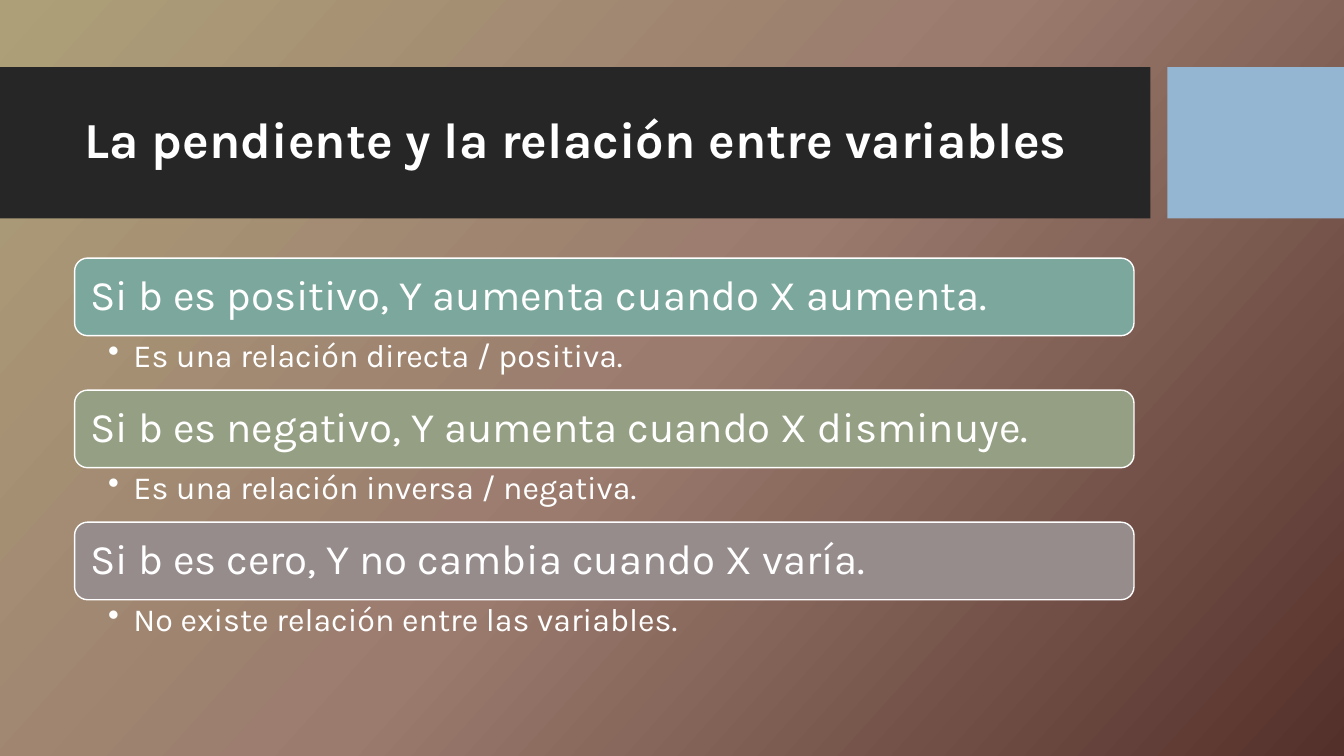
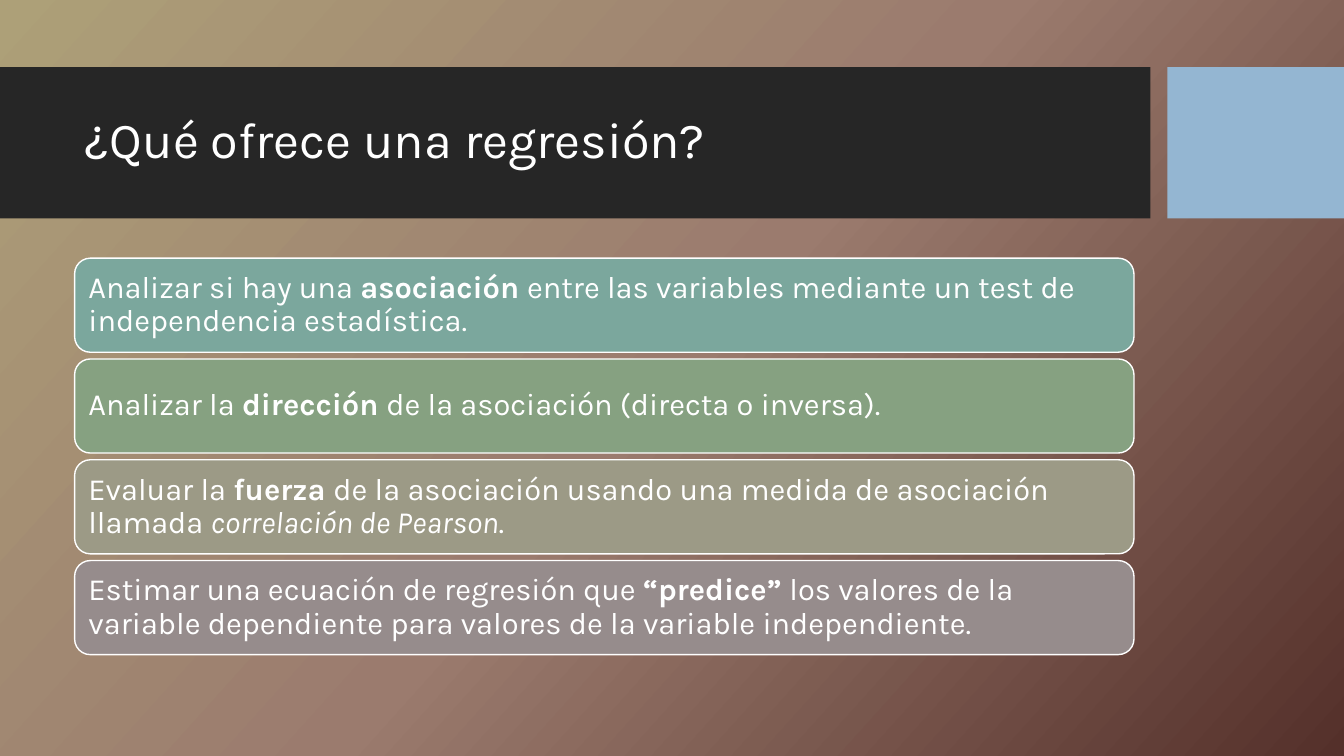
from lxml.etree import SubElement
from pptx import Presentation
from pptx.dml.color import RGBColor
from pptx.enum.shapes import MSO_SHAPE as Shape
from pptx.enum.text import MSO_ANCHOR as Anchor, PP_ALIGN as Align
from pptx.oxml.ns import qn
from pptx.util import Pt

# Content
SLOPE_TITLE = "La pendiente y la relación entre variables"
SLOPE_CASES = [
    ("Si b es positivo, Y aumenta cuando X aumenta.",
     "Es una relación directa / positiva."),
    ("Si b es negativo, Y aumenta cuando X disminuye.",
     "Es una relación inversa / negativa."),
    ("Si b es cero, Y no cambia cuando X varía.",
     "No existe relación entre las variables."),
]
USES_TITLE = "¿Qué ofrece una regresión?"
USES = [
    [("Analizar si hay una ", ""), ("asociación ", "bold"),
     ("entre las variables mediante un test de independencia estadística.", "")],
    [("Analizar la ", ""), ("dirección ", "bold"),
     ("de la asociación (directa o inversa).", "")],
    [("Evaluar la ", ""), ("fuerza ", "bold"),
     ("de la asociación usando una medida de asociación llamada ", ""),
     ("correlación de Pearson", "italic"), (".", "")],
    [("Estimar una ecuación de regresión que ", ""), ("“predice” ", "bold"),
     ("los valores de la variable dependiente para valores de la variable "
      "independiente.", "")],
]

# Shared style
FONT = "Karla"
WHITE = RGBColor(0xFF, 0xFF, 0xFF)
CHARCOAL = RGBColor(0x26, 0x26, 0x26)
SKY = RGBColor(0x94, 0xB6, 0xD2)
TEAL = RGBColor(0x7B, 0xA7, 0x9D)
GREEN = RGBColor(0x86, 0xA1, 0x81)
OLIVE = RGBColor(0x94, 0x9F, 0x83)
SAND = RGBColor(0x9C, 0x9A, 0x86)
MAUVE = RGBColor(0x96, 0x8C, 0x8C)
CASE_COLORS = [TEAL, OLIVE, MAUVE]
USE_COLORS = [TEAL, GREEN, SAND, MAUVE]
BACKGROUND = [(0, "ADA078"), (50, "9B7B6E"), (100, "54302A")]
BACKGROUND_ANGLE = 42

# Layout, in points
SLIDE_W, SLIDE_H = 960, 540
BAND_TOP, BAND_H = 48, 108
BANDS = [(0, 821.8, CHARCOAL), (833.8, 126.2, SKY)]
LEFT, WIDTH = 53.3, 756.7
TITLE_TOP, TITLE_H = 59, 85
LIST_TOP = 184.4
CASE_H, DETAIL_H = 55.4, 38.9
USE_H, USE_GAP = 67.2, 4.8
BULLET_INDENT = 18


def place(shape, left, top, width, height):
    box = dict(left=left, top=top, width=width, height=height)
    for name, value in box.items():
        setattr(shape, name, Pt(value))


def write(shape, runs, size, anchor=Anchor.MIDDLE, margins=(7.2, 3.6, 7.2, 3.6)):
    frame = shape.text_frame
    settings = dict(zip(("margin_left", "margin_top", "margin_right",
                         "margin_bottom"), map(Pt, margins)))
    settings.update(word_wrap=True, vertical_anchor=anchor)
    for name, value in settings.items():
        setattr(frame, name, value)
    paragraph = frame.paragraphs[0]
    paragraph.alignment = Align.LEFT
    paragraph.line_spacing = 0.9
    for text, style in runs:
        run = paragraph.add_run()
        run.text = text
        font = dict(name=FONT, size=Pt(size), bold=style == "bold",
                    italic=style == "italic")
        for name, value in font.items():
            setattr(run.font, name, value)
        run.font.color.rgb = WHITE
    return paragraph


def add_block(slide, kind, box, color):
    block = slide.shapes.add_shape(kind, *map(Pt, box))
    block.shadow.inherit = False
    block.fill.solid()
    block.fill.fore_color.rgb = color
    block.line.fill.background()
    return block


def add_bar(slide, top, height, color, runs, size, margin):
    bar = add_block(slide, Shape.ROUNDED_RECTANGLE,
                    (LEFT, top, WIDTH, height), color)
    bar.line.color.rgb = WHITE
    bar.line.width = Pt(1)
    write(bar, runs, size, margins=[margin] * 4)


def add_detail(slide, top, text):
    detail = slide.shapes.add_textbox(*map(Pt, (LEFT, top, WIDTH, DETAIL_H)))
    paragraph = write(detail, [(text, "")], 23, Anchor.TOP, (24, 2.6, 16.6, 2.6))
    properties = paragraph._p.get_or_add_pPr()
    properties.set("marL", str(Pt(BULLET_INDENT)))
    properties.set("indent", str(-Pt(BULLET_INDENT)))
    SubElement(properties, qn("a:buChar")).set("char", "•")


def add_titled_slide(title, style=""):
    slide = deck.slides.add_slide(layout)
    place(slide.shapes.title, LEFT, TITLE_TOP, WIDTH, TITLE_H)
    write(slide.shapes.title, [(title, style)], 36)
    return slide


deck = Presentation()
deck.slide_width, deck.slide_height = Pt(SLIDE_W), Pt(SLIDE_H)
layout = deck.slide_layouts.get_by_name("Title Only")

# Gradient background on the master
master = deck.slide_master
master.background.fill.gradient()
gradient = master.element.find(".//" + qn("p:bgPr") + "/" + qn("a:gradFill"))
stops = gradient.find(qn("a:gsLst"))
for stop in list(stops):
    stops.remove(stop)
for position, color in BACKGROUND:
    stop = SubElement(stops, qn("a:gs"), pos=str(position * 1000))
    SubElement(stop, qn("a:srgbClr"), val=color)
gradient.find(qn("a:lin")).set("ang", str(BACKGROUND_ANGLE * 60000))

# Slope and relation
slope = add_titled_slide(SLOPE_TITLE, "bold")
for row, ((case, detail), color) in enumerate(zip(SLOPE_CASES, CASE_COLORS)):
    top = LIST_TOP + row * (CASE_H + DETAIL_H)
    add_bar(slope, top, CASE_H, color, [(case, "")], 30, 8.6)
    add_detail(slope, top + CASE_H, detail)

# Title bands, moved to the layout so that every slide shows them
for left, width, color in BANDS:
    band = add_block(slope, Shape.RECTANGLE,
                     (left, BAND_TOP, width, BAND_H), color)
    layout.element.cSld.spTree.append(band.element)

# Uses of a regression
uses = add_titled_slide(USES_TITLE)
for row, (runs, color) in enumerate(zip(USES, USE_COLORS)):
    add_bar(uses, LIST_TOP + row * (USE_H + USE_GAP), USE_H, color, runs, 22, 6.6)

deck.save("out.pptx")
